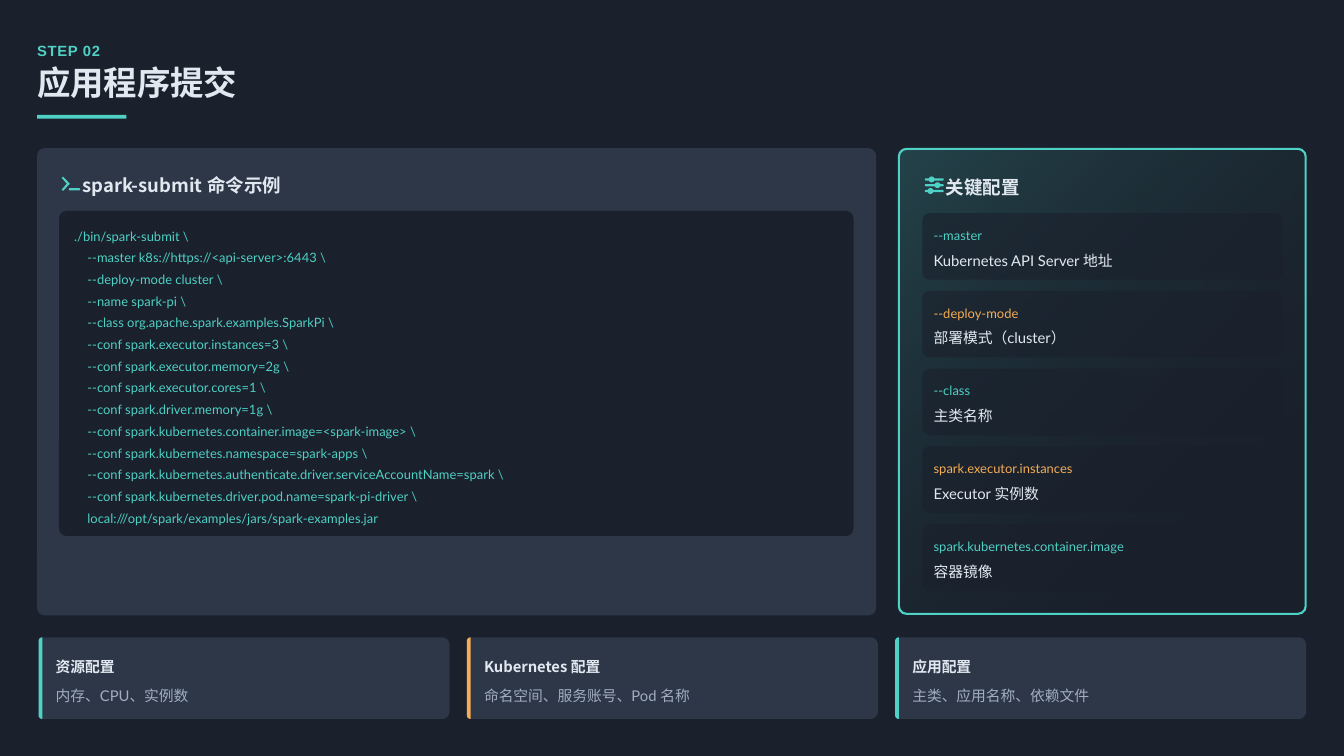
import math
from typing import NamedTuple

from lxml import etree
from pptx import Presentation
from pptx.dml.color import RGBColor
from pptx.enum import shapes, text
from pptx.oxml import ns
from pptx.util import Pt

INK, SLATE, TEAL, AMBER = "1A202C", "2D3748", "4FD1C5", "F6AD55"
LIGHT, MUTED = "E2E8F0", "A0AEC0"
SANS, CJK = "Lato", "Noto Sans CJK SC"
RADIUS = 7.2

COMMAND = r"""./bin/spark-submit \
    --master k8s://https://<api-server>:6443 \
    --deploy-mode cluster \
    --name spark-pi \
    --class org.apache.spark.examples.SparkPi \
    --conf spark.executor.instances=3 \
    --conf spark.executor.memory=2g \
    --conf spark.executor.cores=1 \
    --conf spark.driver.memory=1g \
    --conf spark.kubernetes.container.image=<spark-image> \
    --conf spark.kubernetes.namespace=spark-apps \
    --conf spark.kubernetes.authenticate.driver.serviceAccountName=spark \
    --conf spark.kubernetes.driver.pod.name=spark-pi-driver \
    local:///opt/spark/examples/jars/spark-examples.jar"""


class Box(NamedTuple):
    x: float
    y: float
    w: float
    h: float


class Style(NamedTuple):
    size: float
    color: str
    font: str = SANS
    bold: bool = False
    leading: float = 1.3
    tracking: float = 0


class Option(NamedTuple):
    flag: str
    meaning: str
    color: str


class Card(NamedTuple):
    heading: str
    details: str
    accent: str


HEADING = Style(17.6, LIGHT, CJK, True, 1.2)
CARD_HEADING = Style(14.1, LIGHT, CJK, True)

OPTIONS = [
    Option("--master", "Kubernetes API Server 地址", TEAL),
    Option("--deploy-mode", "部署模式（cluster）", AMBER),
    Option("--class", "主类名称", TEAL),
    Option("spark.executor.instances", "Executor 实例数", AMBER),
    Option("spark.kubernetes.container.image", "容器镜像", TEAL),
]
CARDS = [
    Card("资源配置", "内存、CPU、实例数", TEAL),
    Card("Kubernetes 配置", "命名空间、服务账号、Pod 名称", AMBER),
    Card("应用配置", "主类、应用名称、依赖文件", TEAL),
]


def rgb(color: str) -> RGBColor:
    return RGBColor.from_string(color)


def set_alpha(shape, *percents: float) -> None:
    """Give each colour of the shape, in order, its opacity."""
    for color, percent in zip(shape._element.iter(ns.qn("a:srgbClr")), percents):
        etree.SubElement(color, ns.qn("a:alpha"), val=str(int(percent * 1000)))


def paint(shape, color: str) -> None:
    shape.shadow.inherit = False
    shape.fill.solid()
    shape.fill.fore_color.rgb = rgb(color)
    shape.line.fill.background()


def add_panel(slide, box: Box, color: str, radius: float = RADIUS):
    kind = shapes.MSO_SHAPE.ROUNDED_RECTANGLE if radius else shapes.MSO_SHAPE.RECTANGLE
    panel = slide.shapes.add_shape(kind, *map(Pt, box))
    if radius:
        panel.adjustments[0] = radius / min(box.w, box.h)
    paint(panel, color)
    return panel


def add_outline(slide, contours: list, color: str) -> None:
    """Draw closed contours, given in points, as one filled shape."""
    scaled = [[(Pt(x), Pt(y)) for x, y in contour] for contour in contours]
    builder = slide.shapes.build_freeform(*scaled[0][0])
    for index, contour in enumerate(scaled):
        if index:
            builder.move_to(*contour[0])
        builder.add_line_segments(contour[1:], close=True)
    paint(builder.convert_to_shape(), color)


def arc(x: float, y: float, radius: float, start: float, end: float) -> list:
    angles = [math.radians(start + (end - start) * i / 8) for i in range(9)]
    return [(x + radius * math.cos(a), y + radius * math.sin(a)) for a in angles]


def rounded(box: Box, left: float, right: float) -> list:
    """Contour of a box whose left and right corners have their own radii."""
    x, y, x2, y2 = box.x, box.y, box.x + box.w, box.y + box.h
    return (arc(x + left, y + left, left, 180, 270)
            + arc(x2 - right, y + right, right, 270, 360)
            + arc(x2 - right, y2 - right, right, 0, 90)
            + arc(x + left, y2 - left, left, 90, 180))


def slider(y: float, knob_x: float) -> list:
    """Contour of a round-ended bar with a knob on it."""
    left, right, half, knob = 880.8, 898.8, 1.1, 2.8
    tilt = math.degrees(math.asin(half / knob))
    return (arc(left + half, y, half, 90, 270)
            + arc(knob_x, y, knob, 180 + tilt, 360 - tilt)
            + arc(right - half, y, half, -90, 90)
            + arc(knob_x, y, knob, tilt, 180 - tilt))


def add_text(slide, box: Box, content: str, style: Style) -> None:
    frame = slide.shapes.add_textbox(*map(Pt, box)).text_frame
    frame.word_wrap = True
    frame.vertical_anchor = text.MSO_ANCHOR.MIDDLE
    frame.margin_left = frame.margin_right = frame.margin_top = frame.margin_bottom = 0
    frame.text = content
    for paragraph in frame.paragraphs:
        paragraph.line_spacing = style.leading
        for run in paragraph.runs:
            run.font.size = Pt(style.size)
            run.font.bold = style.bold
            run.font.color.rgb = rgb(style.color)
            run.font.name = style.font
            properties = run._r.get_or_add_rPr()
            etree.SubElement(properties, ns.qn("a:ea"), typeface=CJK)
            if style.tracking:
                properties.set("spc", str(int(style.tracking * 100)))


def add_header(slide) -> None:
    add_text(slide, Box(35.3, 35.3, 1217, 21), "STEP 02",
             Style(14.1, TEAL, "Arial", True, tracking=0.7))
    add_text(slide, Box(35.3, 63.4, 1225, 35.3), "应用程序提交",
             Style(31.8, LIGHT, CJK, True, 0.9))
    add_panel(slide, Box(35.3, 109.4, 85, 3.6), TEAL, radius=0)


def add_command(slide) -> None:
    add_panel(slide, Box(35.3, 141.1, 799.2, 445), SLATE)
    chevron = [(58.7, 169.4), (60, 168.2), (66.6, 175), (60, 181.8), (58.7, 180.6), (63.6, 175)]
    add_outline(slide, [chevron, rounded(Box(65.5, 179.2, 10.8, 2.2), 1.1, 1.1)], TEAL)
    add_text(slide, Box(78.5, 162, 743.8, 24.5), "spark-submit 命令示例", HEADING)
    add_panel(slide, Box(56.2, 200.9, 756.7, 309.6), INK)
    add_text(slide, Box(70.6, 215.3, 735, 281.5), COMMAND, Style(12.3, TEAL, leading=1.4))


def add_options(slide) -> None:
    panel = add_panel(slide, Box(856.1, 141.8, 387.4, 442.8), TEAL)
    panel.fill.gradient()
    panel.fill.gradient_angle = 315
    for stop, color, position in zip(panel.fill.gradient_stops, (TEAL, "000000"), (0, 1)):
        stop.color.rgb = rgb(color)
        stop.position = position
    set_alpha(panel, 20, 0)
    panel.line.color.rgb = rgb(TEAL)
    panel.line.width = Pt(2)
    add_outline(slide, [slider(170.9, 887.3), slider(176.4, 892.8), slider(181.9, 886.2)], TEAL)
    add_text(slide, Box(900.7, 164.2, 329.8, 24.5), "关键配置", HEADING)
    for index, option in enumerate(OPTIONS):
        y = 203 + index * 74.06
        set_alpha(add_panel(slide, Box(878.4, y, 343.4, 63.4), INK), 60)
        add_text(slide, Box(889.2, y + 10.6, 328.5, 18), option.flag,
                 Style(12.3, option.color, leading=1.2))
        add_text(slide, Box(889.2, y + 31.8, 329, 21), option.meaning, Style(14.1, LIGHT))


def add_cards(slide) -> None:
    for index, card in enumerate(CARDS):
        box = Box(36.7 + index * 407.9, 607, 391.5, 77.7)
        add_outline(slide, [rounded(box, RADIUS / 2, RADIUS)], SLATE)
        add_outline(slide, [rounded(box._replace(w=RADIUS / 2), RADIUS / 2, 0)], card.accent)
        add_text(slide, Box(box.x + 16.4, 621.4, 368.6, 21), card.heading, CARD_HEADING)
        add_text(slide, Box(box.x + 16.4, 649.4, 368.6, 21), card.details, Style(14.1, MUTED))


def main() -> None:
    deck = Presentation()
    deck.slide_width, deck.slide_height = Pt(1280), Pt(720)
    slide = deck.slides.add_slide(deck.slide_layouts[6])
    slide.background.fill.solid()
    slide.background.fill.fore_color.rgb = rgb(INK)
    add_header(slide)
    add_command(slide)
    add_options(slide)
    add_cards(slide)
    deck.save("out.pptx")


if __name__ == "__main__":
    main()
